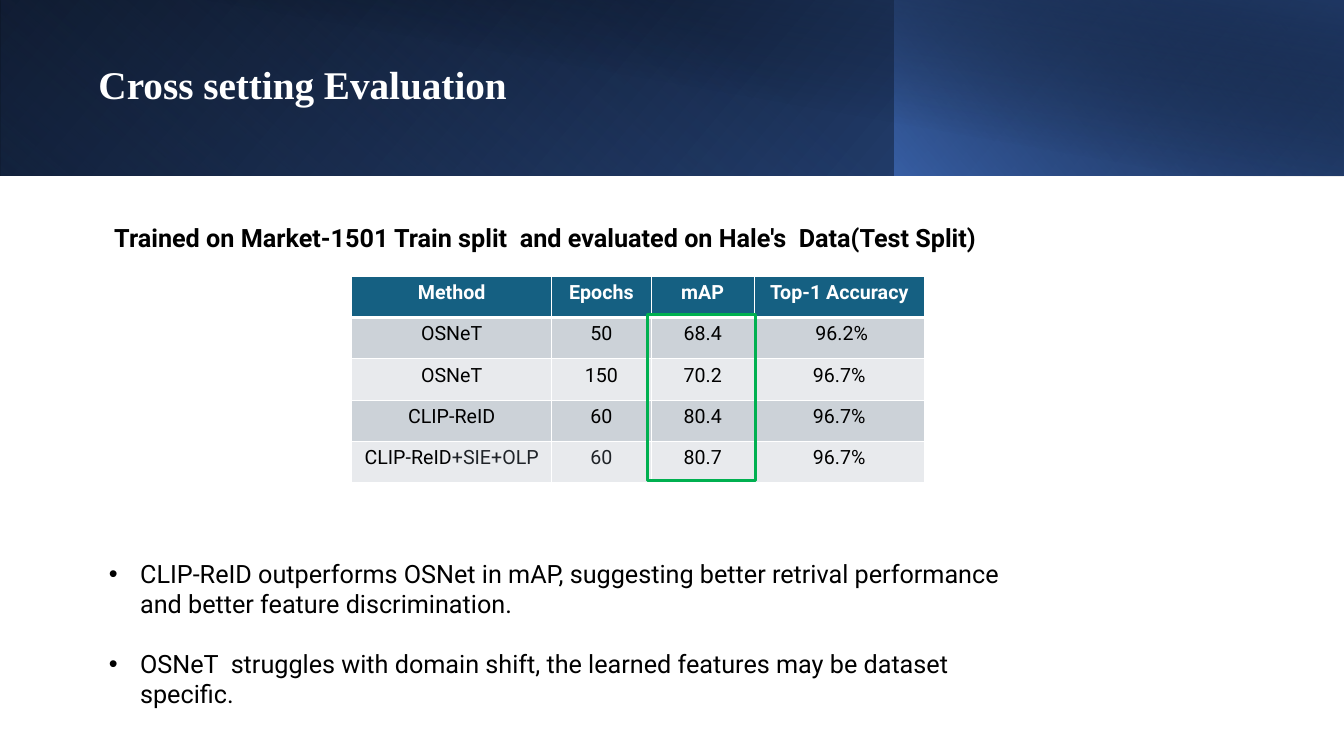
from dataclasses import dataclass

from lxml import etree
from pptx import Presentation
from pptx.dml.color import RGBColor
from pptx.enum.shapes import MSO_SHAPE
from pptx.enum.text import MSO_ANCHOR, MSO_AUTO_SIZE, PP_ALIGN
from pptx.oxml.ns import qn
from pptx.util import Inches, Pt

RECT = MSO_SHAPE.RECTANGLE
MIDDLE, TOP = MSO_ANCHOR.MIDDLE, MSO_ANCHOR.TOP
LEFT, CENTER = PP_ALIGN.LEFT, PP_ALIGN.CENTER
NO_FIT = MSO_AUTO_SIZE.NONE

WHITE = RGBColor(0xFF, 0xFF, 0xFF)
BLACK = RGBColor(0x00, 0x00, 0x00)
INK = RGBColor(0x1F, 0x23, 0x28)
TEAL = RGBColor(0x15, 0x60, 0x82)
GRAY = RGBColor(0xCC, 0xD2, 0xD8)
PALE = RGBColor(0xE8, 0xEA, 0xED)
GREEN = RGBColor(0x00, 0xB0, 0x50)
BLUE = RGBColor(0x44, 0x72, 0xC4)
DEEP = RGBColor(0x2F, 0x54, 0x96)
NAVY = RGBColor(0x1F, 0x38, 0x64)

SANS, SERIF = "Roboto", "Times New Roman"


@dataclass
class Stop:
    pos: int
    color: RGBColor
    alpha: int = 100


@dataclass
class Band:
    left: float
    width: float
    height: float
    angle: int
    stops: list[Stop]
    flip: bool = True
    turn: int = 0


BANDS = [
    Band(0, 13.33, 1.74, 140, [Stop(0, BLACK), Stop(100, DEEP)]),
    Band(0, 8.88, 1.74, 230,
         [Stop(0, BLUE, 0), Stop(20, BLUE, 0), Stop(100, NAVY, 54)], turn=180),
    Band(8.87, 4.46, 1.74, 220, [Stop(0, BLUE, 65), Stop(100, BLACK, 29)]),
    Band(0.5, 12.83, 1.75, 280,
         [Stop(0, BLACK, 0), Stop(50, BLACK, 0), Stop(99, NAVY, 51),
          Stop(100, NAVY, 51)], flip=False),
]

WIDTHS = [1.98, 0.99, 1.02, 1.69]
ROW = 0.41
ROWS = [
    ["Method", "Epochs", "mAP", "Top-1 Accuracy"],
    ["OSNeT", "50", "68.4", " 96.2%"],
    ["OSNeT", "150", "70.2", "96.7%"],
    ["CLIP-ReID", "60", "80.4", "96.7%"],
    ["CLIP-ReID", "60", "80.7", "96.7%"],
]
POINTS = [
    "CLIP-ReID outperforms OSNet in mAP, suggesting better retrival "
    "performance and better feature discrimination.",
    "OSNeT  struggles with domain shift, the learned features may be "
    "dataset specific.",
]


def place(shape, left: float, top: float, width: float, height: float) -> None:
    shape.left, shape.top = Inches(left), Inches(top)
    shape.width, shape.height = Inches(width), Inches(height)


def style(par, face: str, size: int, color: RGBColor, bold: bool = False) -> None:
    font = par.font
    font.name, font.size, font.bold = face, Pt(size), bold
    font.color.rgb = color


def add_rect(slide, left: float, top: float, width: float, height: float):
    shape = slide.shapes.add_shape(
        RECT, Inches(left), Inches(top), Inches(width), Inches(height))
    shape.shadow.inherit = False
    return shape


def add_band(slide, band: Band) -> None:
    shape = add_rect(slide, band.left, 0, band.width, band.height)
    shape.line.fill.background()
    shape.rotation = band.turn
    if band.flip:
        shape.element.spPr.find(qn("a:xfrm")).set("flipH", "1")
    shape.fill.gradient()
    shape.fill.gradient_angle = 360 - band.angle
    stops = shape.element.spPr.find(qn("a:gradFill")).find(qn("a:gsLst"))
    for old in list(stops):
        stops.remove(old)
    for stop in band.stops:
        item = etree.SubElement(stops, qn("a:gs"), pos=str(stop.pos * 1000))
        color = etree.SubElement(item, qn("a:srgbClr"), val=str(stop.color))
        etree.SubElement(color, qn("a:alpha"), val=str(stop.alpha * 1000))


def add_edges(cell, head: bool) -> None:
    props = cell._tc.get_or_add_tcPr()
    for spot, side in enumerate(("lnL", "lnR", "lnT", "lnB")):
        width = Pt(3 if head and side == "lnB" else 1)
        edge = etree.Element(qn(f"a:{side}"), w=str(width))
        fill = etree.SubElement(edge, qn("a:solidFill"))
        etree.SubElement(fill, qn("a:srgbClr"), val=str(WHITE))
        props.insert(spot, edge)


def add_scores(slide) -> None:
    table = slide.shapes.add_table(
        len(ROWS), len(WIDTHS), Inches(3.49), Inches(2.74),
        Inches(sum(WIDTHS)), Inches(ROW * len(ROWS))).table
    for col, width in zip(table.columns, WIDTHS):
        col.width = Inches(width)
    for y, texts in enumerate(ROWS):
        table.rows[y].height = Inches(ROW)
        head = y == 0
        for x, text in enumerate(texts):
            cell = table.cell(y, x)
            cell.text = text
            cell.fill.solid()
            cell.fill.fore_color.rgb = TEAL if head else GRAY if y % 2 else PALE
            add_edges(cell, head)
            par = cell.text_frame.paragraphs[0]
            par.alignment = CENTER
            style(par, SANS, 14, WHITE if head else BLACK, head)
    last = len(ROWS) - 1
    extra = table.cell(last, 0).text_frame.paragraphs[0].add_run()
    extra.text = "+SIE+OLP"
    extra.font.color.rgb = INK
    table.cell(last, 1).text_frame.paragraphs[0].font.color.rgb = INK


def set_title(slide) -> None:
    title = slide.shapes.title
    place(title, 0.78, 0.43, 11.29, 0.87)
    frame = title.text_frame
    frame.text = " Cross setting Evaluation"
    frame.auto_size, frame.vertical_anchor = NO_FIT, MIDDLE
    par = frame.paragraphs[0]
    par.alignment, par.line_spacing = LEFT, 0.9
    style(par, SERIF, 28, WHITE, True)


def add_lead(slide) -> None:
    box = slide.shapes.add_textbox(
        Inches(0.98), Inches(2.16), Inches(9.1), Inches(0.4))
    frame = box.text_frame
    frame.word_wrap = True
    frame.text = (" Trained on Market-1501 Train split  and evaluated on "
                  "Hale's  Data(Test Split)")
    style(frame.paragraphs[0], SANS, 18, BLACK, True)


def set_points(slide) -> None:
    body = slide.placeholders[1]
    place(body, 0.98, 5.49, 9.12, 1.91)
    frame = body.text_frame
    frame.text = "\n".join(POINTS)
    frame.auto_size, frame.vertical_anchor = NO_FIT, TOP
    for n, par in enumerate(frame.paragraphs):
        par.space_before = Pt(21 * n)
        style(par, SANS, 18, BLACK)
        props = par._p.get_or_add_pPr()
        props.set("marL", str(Inches(0.31)))
        props.set("indent", str(Inches(-0.31)))
        mark = etree.Element(qn("a:buChar"), char="•")
        props.find(qn("a:defRPr")).addprevious(mark)


def main() -> None:
    deck = Presentation()
    deck.slide_width, deck.slide_height = Inches(13.33), Inches(7.5)
    slide = deck.slides.add_slide(deck.slide_layouts[1])
    tree = slide.shapes.title.element.getparent()
    for band in BANDS:
        add_band(slide, band)
    tree.append(slide.shapes.title.element)
    set_title(slide)
    add_scores(slide)
    add_lead(slide)
    frame = add_rect(slide, 6.42, 3.12, 1.07, 1.65)
    frame.fill.background()
    frame.line.color.rgb = GREEN
    frame.line.width = Pt(2.25)
    set_points(slide)
    deck.save("out.pptx")


if __name__ == "__main__":
    main()
